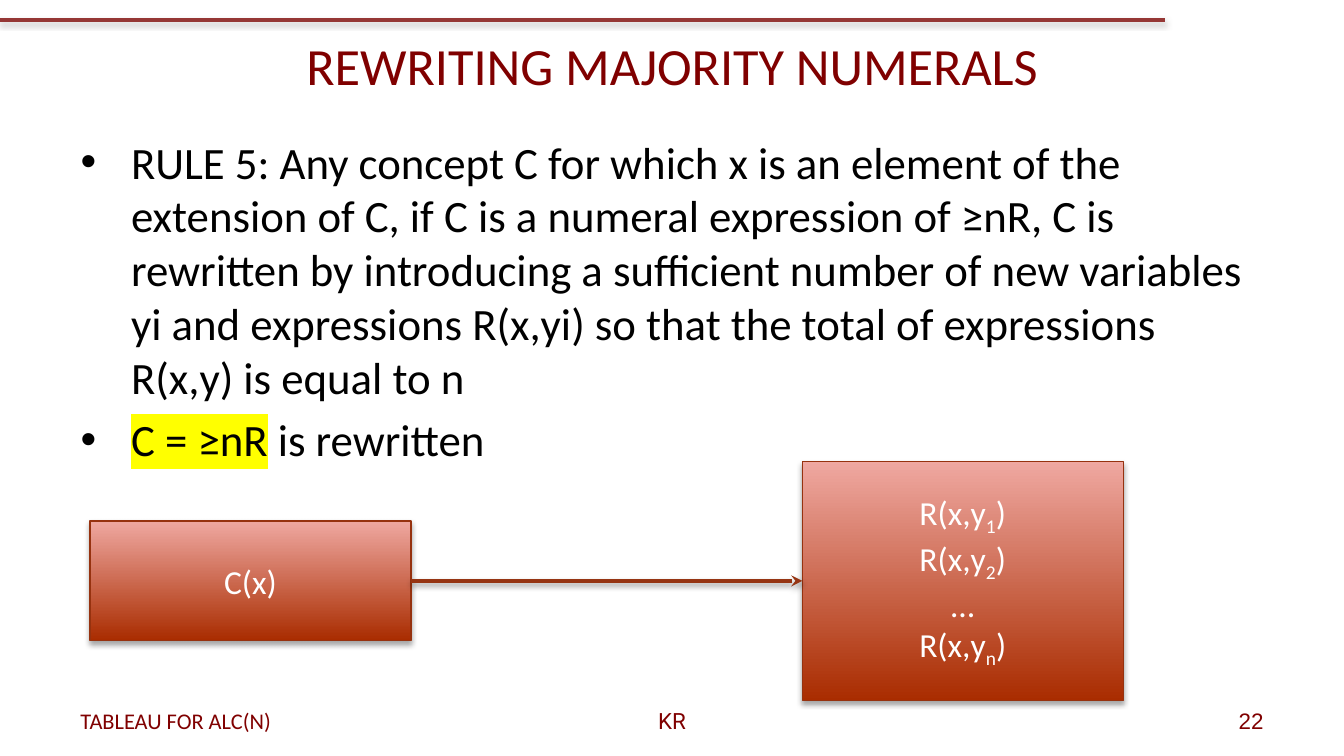
from lxml import etree
from pptx import Presentation
from pptx.dml.color import RGBColor
from pptx.enum import shapes, text
from pptx.oxml import ns
from pptx.util import Pt

COLORS = {
    "maroon": "800000", "black": "000000", "white": "FFFFFF",
    "marker": "FFFF00", "rule": "953735", "arrow": "963513",
    "edge": "96320F", "dark": "A92C00", "light": "EFA8A1", "gray": "808080",
}
CENTER = text.PP_ALIGN.CENTER
MIDDLE = text.MSO_ANCHOR.MIDDLE


def rgb(name):
    return RGBColor.from_string(COLORS[name])


def add_element(parent, tag, **attributes):
    return etree.SubElement(parent, ns.qn(tag), attributes)


def add_span(para, wording, size, color, font="Calibri", subscript=False, marker=False):
    span = para.add_run()
    span.text = wording
    span.font.size = Pt(size)
    span.font.color.rgb = rgb(color)
    properties = span.font._element
    if marker:
        highlight = add_element(properties, "a:highlight")
        add_element(highlight, "a:srgbClr", val=COLORS["marker"])
    if subscript:
        properties.set("baseline", "-25000")
    span.font.name = font


def add_shadow(item, color, alpha, distance):
    effects = add_element(item._element.spPr, "a:effectLst")
    shadow = add_element(effects, "a:outerShdw", blurRad=str(Pt(3.1)),
                         dist=str(Pt(distance)), dir="5400000", rotWithShape="0")
    tone = add_element(shadow, "a:srgbClr", val=COLORS[color])
    add_element(tone, "a:alpha", val=str(alpha * 1000))


def add_line(page, start, end, color, shadow, arrow=False):
    line = page.shapes.add_connector(
        shapes.MSO_CONNECTOR.STRAIGHT, *(Pt(value) for value in start + end))
    line.line.color.rgb = rgb(color)
    line.line.width = Pt(2)
    if arrow:
        add_element(line.line._get_or_add_ln(), "a:tailEnd", type="stealth")
    add_shadow(line, shadow, 38, 1.6)


def place(holder, left, top, width, height, anchor):
    holder.left, holder.top = Pt(left), Pt(top)
    holder.width, holder.height = Pt(width), Pt(height)
    frame = holder.text_frame
    frame.word_wrap = True
    frame.auto_size = text.MSO_AUTO_SIZE.NONE
    frame.vertical_anchor = anchor
    return frame


def next_para(frame, index):
    return frame.add_paragraph() if index else frame.paragraphs[0]


def fill_title(page, wording):
    frame = place(page.shapes.title, 36, 0.7, 648, 67.7, MIDDLE)
    para = frame.paragraphs[0]
    para.alignment = CENTER
    add_span(para, wording, 28, "maroon")


def fill_body(page, bullets):
    frame = place(page.placeholders[1], 36, 68.4, 648, 186.5, text.MSO_ANCHOR.TOP)
    for index, spans in enumerate(bullets):
        para = next_para(frame, index)
        properties = para._p.get_or_add_pPr()
        properties.set("marL", str(Pt(27)))
        properties.set("indent", str(Pt(-27)))
        add_element(properties, "a:buFont", typeface="Arial")
        add_element(properties, "a:buChar", char="•")
        para.space_before = Pt(4.8 if index else 0)
        for wording, marker in spans:
            add_span(para, wording, 24, "black", marker=marker)


def add_footer(page, left, width, wording, font, alignment):
    box = page.shapes.add_textbox(0, 0, 0, 0)
    frame = place(box, left, 375.1, width, 21.6, MIDDLE)
    para = frame.paragraphs[0]
    para.alignment = alignment
    add_span(para, wording, 12, "maroon", font)


def add_concept(page, left, middle, height, rows):
    box = page.shapes.add_shape(shapes.MSO_SHAPE.RECTANGLE, 0, 0, 0, 0)
    frame = place(box, left, middle - height / 2, 172, height, MIDDLE)
    box.fill.gradient()
    box.fill.gradient_angle = 90
    for stop, color in zip(box.fill.gradient_stops, ("dark", "light")):
        stop.color.rgb = rgb(color)
    box.line.color.rgb = rgb("edge")
    box.line.width = Pt(0.75)
    add_shadow(box, "black", 35, 1.8)
    for index, spans in enumerate(rows):
        para = next_para(frame, index)
        para.alignment = CENTER
        for wording, subscript in spans:
            add_span(para, wording, 18, "white", subscript=subscript)


def role(subscript):
    return [("R(x,y", False), (subscript, True), (")", False)]


def main():
    deck = Presentation()
    deck.slide_width, deck.slide_height = Pt(720), Pt(405)
    page = deck.slides.add_slide(deck.slide_layouts[1])

    add_line(page, (0, 10.8), (624, 10.8), "rule", "gray")
    fill_title(page, "REWRITING MAJORITY NUMERALS")
    fill_body(page, [
        [("RULE 5: Any concept C for which x is an element of the extension of C, "
          "if C is a numeral expression of ≥nR, C is rewritten by introducing a "
          "sufficient number of new variables yi and expressions R(x,yi) so that "
          "the total of expressions R(x,y) is equal to n", False)],
        [("C = ≥nR", True), (" is rewritten", False)],
    ])

    add_footer(page, 36, 196.6, "TABLEAU FOR ALC(N)", "Calibri", text.PP_ALIGN.LEFT)
    add_footer(page, 246, 228, "KR", "Roboto", CENTER)
    add_footer(page, 516, 168, "22", "Arial", text.PP_ALIGN.RIGHT)

    middle = 311.2
    add_concept(page, 48.2, middle, 64.2, [[("C(x)", False)]])
    add_concept(page, 429.8, middle, 128.2,
                [role("1"), role("2"), [("…", False)], role("n")])
    add_line(page, (220.2, middle), (429.8, middle), "arrow", "black", arrow=True)

    deck.save("out.pptx")


if __name__ == "__main__":
    main()
